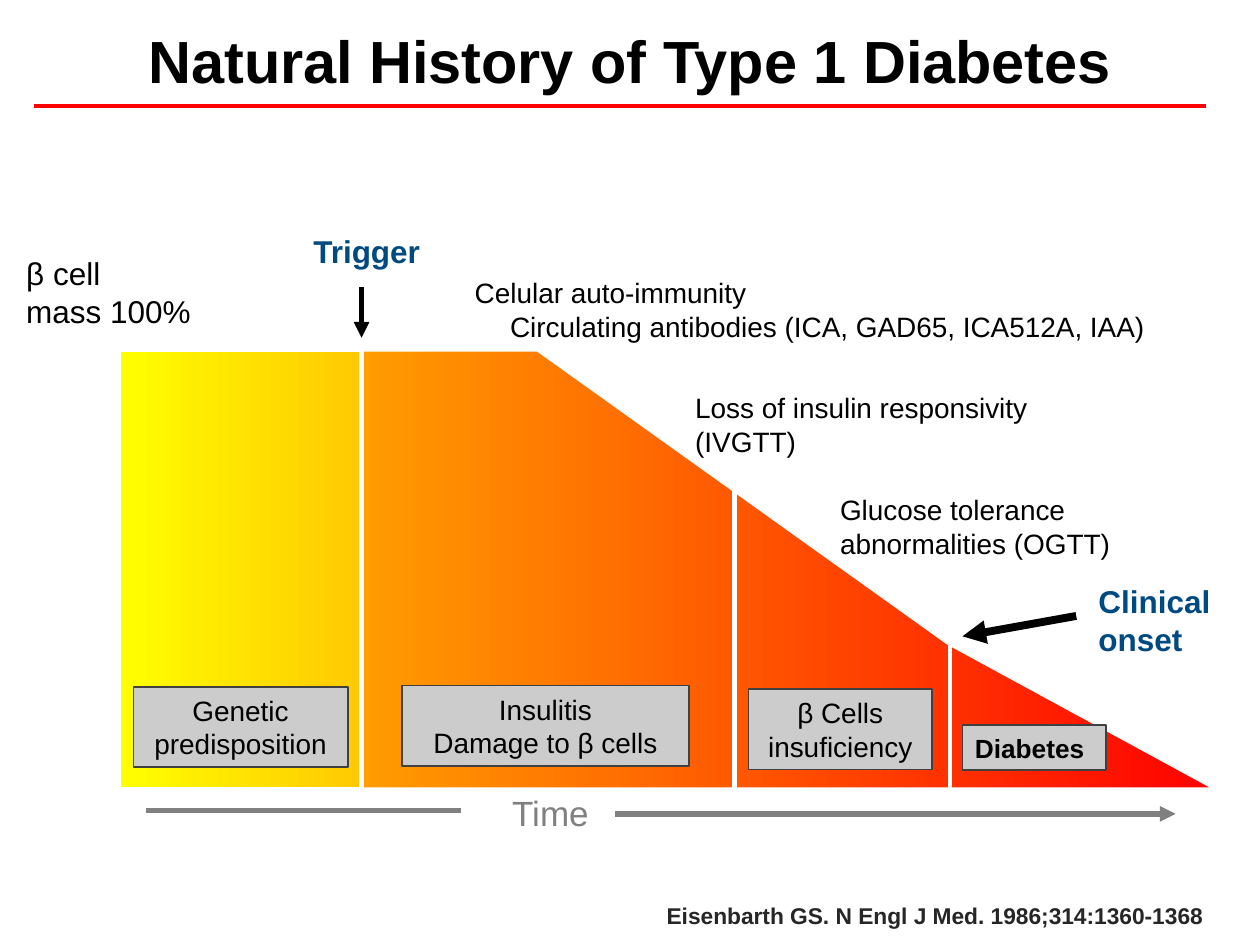
from lxml.etree import SubElement
from pptx import Presentation
from pptx.dml.color import RGBColor as RGB
from pptx.enum.shapes import MSO_CONNECTOR as LINK, MSO_SHAPE as SHAPE
from pptx.enum.text import MSO_ANCHOR as ANCHOR, PP_ALIGN as ALIGN
from pptx.oxml.ns import qn
from pptx.util import Pt

HEX = {
    "black": "000000", "white": "FFFFFF", "blue": "004A82", "red": "FF0000",
    "yellow": "FFFF00", "amber": "FFC901", "gray": "808080",
    "pale": "CCCCCC", "edge": "404040", "dark": "262626",
}

# Content: text, (left, top, width, height), format
TITLE = ("Natural History of Type 1 Diabetes", (0, -8, 720, 84),
         dict(size=34, bold=True, align=ALIGN.CENTER, anchor=ANCHOR.MIDDLE))
LABELS = [
    ("Trigger", (171.4, 129, 76.3, 29),
     dict(size=18, color="blue", bold=True, align=ALIGN.CENTER, wrap=False)),
    ("Circulating antibodies (ICA, GAD65, ICA512A, IAA)",
     (284.4, 173.5, 381.6, 26.6), dict(wrap=False)),
    ("Celular auto-immunity", (264.2, 154, 171.4, 26.6), dict(wrap=False)),
    ("Loss of insulin responsivity\n(IVGTT)", (390.2, 219.6, 213, 46), {}),
    ("Glucose tolerance abnormalities (OGTT)", (473, 278, 232.6, 46), {}),
    ("Clinical onset", (620.6, 329, 80.6, 51),
     dict(size=18, color="blue", bold=True)),
    ("Time", (285.6, 448.6, 68.6, 31.7), dict(size=20, color="gray")),
    ("β cell\vmass 100%", (7.9, 141.8, 109.4, 51),
     dict(size=18, wrap=False)),
    ("Eisenbarth GS. N Engl J Med. 1986;314:1360-1368",
     (342.7, 512, 351.4, 23),
     dict(size=13, color="dark", bold=True, align=ALIGN.RIGHT)),
]
MID = dict(align=ALIGN.CENTER, anchor=ANCHOR.MIDDLE)
STAGES = [
    ("β Cells insuficiency", (427.7, 393.8, 105, 46), MID),
    ("Genetic predisposition", (76.3, 392.4, 122.4, 46), MID),
    ("Insulitis\nDamage to β cells", (229.7, 391.7, 164, 46), MID),
    ("Diabetes", (550, 414.5, 82, 25.4),
     dict(size=15, bold=True, anchor=ANCHOR.MIDDLE)),
]

# Beta cell mass curve
LEFT, TOP, BASE = 67.7, 199.4, 451.4
CURVE = [(LEFT, TOP), (307.4, TOP), (542.2, 367.2), (697, BASE), (LEFT, BASE)]
TRIGGER = 206.6

# Lines: start, end, colour, width, arrowhead
SPLITS = [
    ((419.8, BASE), (419.8, 280), "white", 3, False),
    ((542.9, BASE), (542.9, 367.2), "white", 2.25, False),
]
ARROWS = [
    ((TRIGGER, 164.2), (TRIGGER, 193), "black", 3, True),
    ((615, 352), (550, 363.6), "black", 4.5, True),
    ((83.5, 463), (263.5, 463), "gray", 3, False),
    ((351.4, 465.1), (671.8, 465.1), "gray", 3, True),
    ((19.4, 60.5), (689, 60.5), "red", 2.25, False),
]

deck = Presentation()
deck.slide_width, deck.slide_height = Pt(720), Pt(540)
shapes = deck.slides.add_slide(deck.slide_layouts[6]).shapes


def rgb(name):
    return RGB.from_string(HEX[name])


def write(shape, text, size=16, color="black", bold=False, align=ALIGN.LEFT,
          anchor=ANCHOR.TOP, wrap=True):
    frame = shape.text_frame
    frame.word_wrap = wrap
    frame.vertical_anchor = anchor
    frame.text = text
    for para in frame.paragraphs:
        para.alignment = align
        for run in para.runs:
            font = run.font
            font.name, font.size, font.bold = "Arial", Pt(size), bold
            font.color.rgb = rgb(color)


def label(text, box, form):
    write(shapes.add_textbox(*map(Pt, box)), text, **form)


def rect(box):
    return shapes.add_shape(SHAPE.RECTANGLE, *map(Pt, box))


def edge(shape, color, width):
    shape.shadow.inherit = False
    shape.line.color.rgb = rgb(color)
    shape.line.width = Pt(width)


def blend(shape, *colors):
    shape.fill.gradient()
    shape.fill.gradient_angle = 0
    for pos, (stop, color) in enumerate(zip(shape.fill.gradient_stops, colors)):
        stop.position = pos
        stop.color.rgb = rgb(color)
    edge(shape, "white", 3)


def rule(start, end, color, width, head):
    line = shapes.add_connector(LINK.STRAIGHT, *map(Pt, start + end))
    line.line.color.rgb = rgb(color)
    line.line.width = Pt(width)
    if head:
        SubElement(line.line._get_or_add_ln(), qn("a:tailEnd"), type="triangle")
    SubElement(line._element.spPr, qn("a:effectLst"))


# Captions
for item in LABELS:
    label(*item)

# Curve and its first phase
pen = shapes.build_freeform(*map(Pt, CURVE[0]))
pen.add_line_segments([(Pt(x), Pt(y)) for x, y in CURVE[1:]], close=True)
blend(pen.convert_to_shape(), "amber", "red")
blend(rect((LEFT, TOP, TRIGGER - LEFT, BASE - TOP)), "yellow", "amber")
for item in SPLITS:
    rule(*item)

# Stage boxes
for text, box, form in STAGES:
    stage = rect(box)
    stage.fill.solid()
    stage.fill.fore_color.rgb = rgb("pale")
    edge(stage, "edge", 1)
    write(stage, text, **form)

# Arrows, time axis and title
for item in ARROWS:
    rule(*item)
label(*TITLE)

deck.save("out.pptx")
